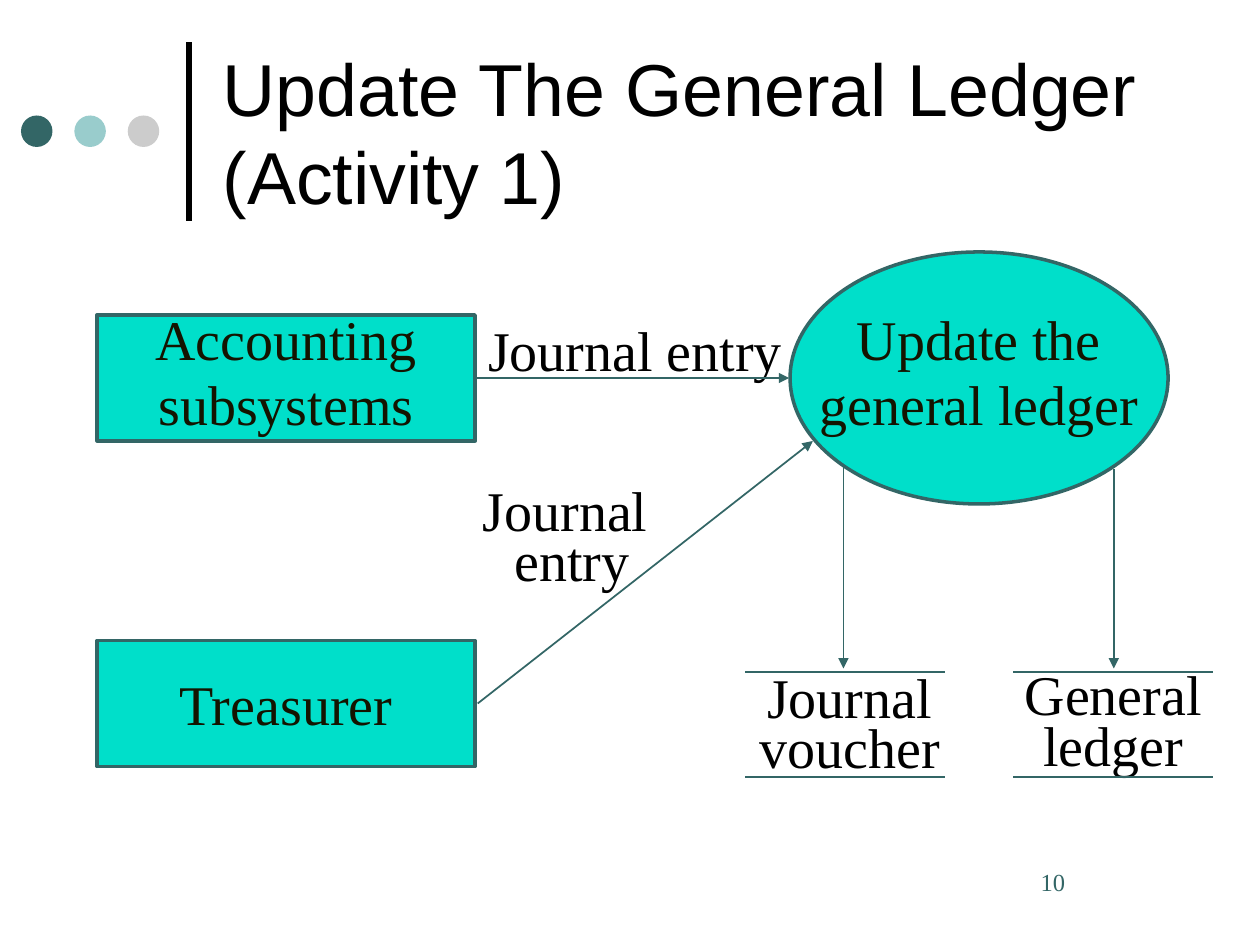
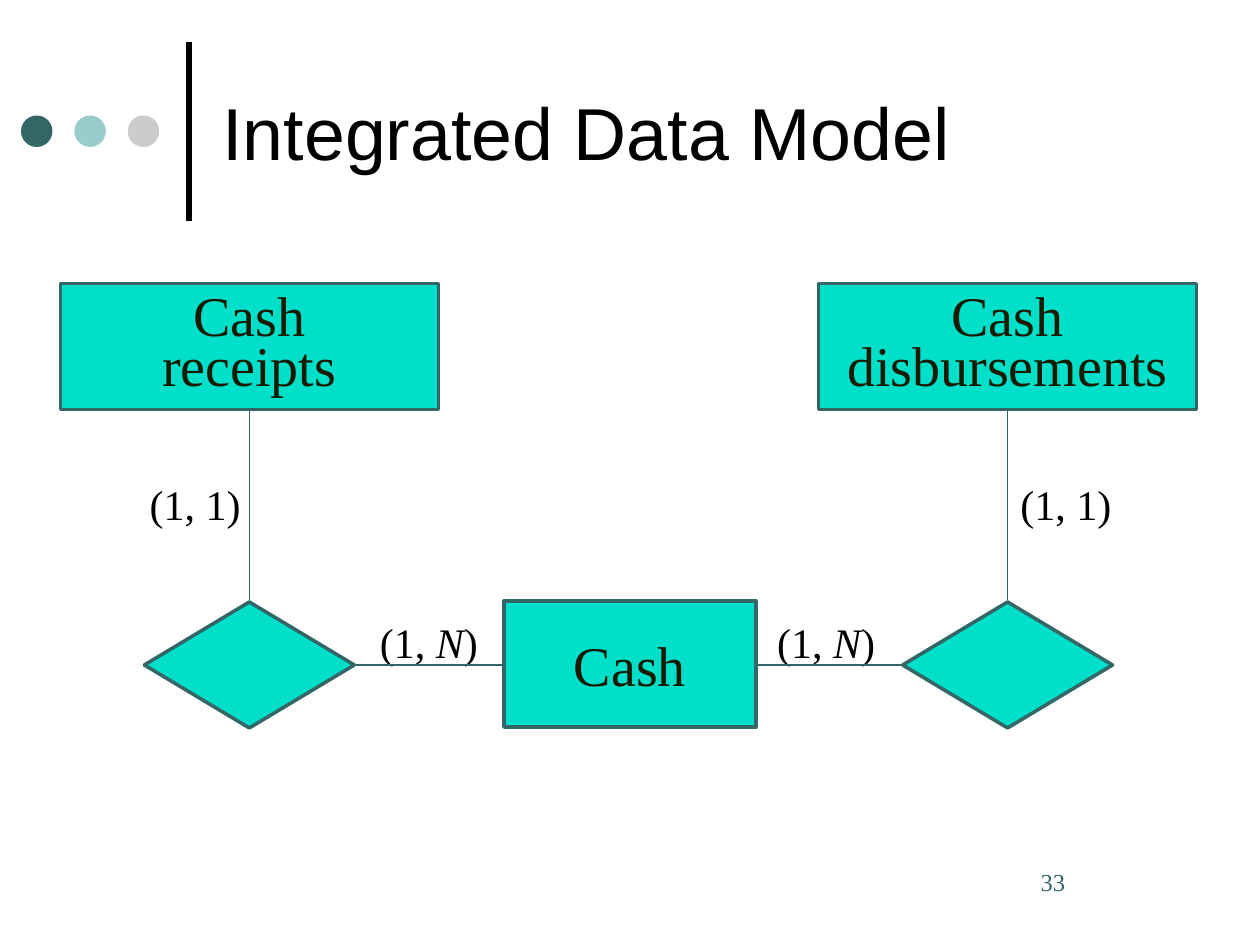
from dataclasses import dataclass
from typing import Any, NamedTuple

from lxml import etree
from pptx import Presentation
from pptx.dml.color import RGBColor
from pptx.enum.shapes import MSO_CONNECTOR, MSO_SHAPE
from pptx.enum.text import MSO_ANCHOR, MSO_AUTO_SIZE, PP_ALIGN
from pptx.oxml.ns import qn
from pptx.util import Pt

RECT, OVAL, DIAMOND = MSO_SHAPE.RECTANGLE, MSO_SHAPE.OVAL, MSO_SHAPE.DIAMOND
STRAIGHT = MSO_CONNECTOR.STRAIGHT
LEFT, CENTER = PP_ALIGN.LEFT, PP_ALIGN.CENTER
TOP, MIDDLE = MSO_ANCHOR.TOP, MSO_ANCHOR.MIDDLE
FIXED, GROW = MSO_AUTO_SIZE.NONE, MSO_AUTO_SIZE.SHAPE_TO_FIT_TEXT


@dataclass(frozen=True)
class Theme:
    black: str = "000000"
    teal: str = "336666"
    aqua: str = "00DFCA"
    flow_ink: str = "141400"
    entity_ink: str = "1A1A00"
    dots: tuple[str, ...] = ("336666", "99CCCC", "CCCCCC")
    title_font: str = "Arial"
    body_font: str = "Times New Roman"
    title_size: float = 42
    body_size: float = 32
    cardinality_size: float = 24
    number_size: float = 14
    tight: float = 0.75


T = Theme()


class Area(NamedTuple):
    x: float
    y: float
    w: float
    h: float


class Node(NamedTuple):
    kind: Any
    area: Area
    lines: tuple[str, ...] = ()
    spacing: float = T.tight
    gap: float = 0
    ink: str = T.entity_ink


class Label(NamedTuple):
    text: str
    area: Area
    size: float = T.body_size
    spacing: float = 1.0
    align: Any = CENTER
    color: str = T.black
    auto_size: Any = GROW


class Link(NamedTuple):
    x1: float
    y1: float
    x2: float
    y2: float
    arrow: bool = False
    color: str = T.teal
    width: float = 1


TITLE_AREA = Area(120, 15, 552, 120)
NUMBER_AREA = Area(587.5, 492, 85, 36)


# Helpers
def apply(obj: Any, **values: Any) -> None:
    for name, value in values.items():
        setattr(obj, name, value)


def place(area: Area) -> list[int]:
    return [Pt(v) for v in area]


def write(tf: Any, lines: tuple[str, ...], size: float, color: str, font: str = T.body_font,
          align: Any = CENTER, spacing: float = 1.0, gap: float = 0) -> None:
    """One paragraph per line; *text* is italic and \\v breaks a line."""
    for i, line in enumerate(lines):
        p = tf.paragraphs[0] if i == 0 else tf.add_paragraph()
        apply(p, alignment=align, line_spacing=spacing, space_before=Pt(gap if i else 0))
        for j, row in enumerate(line.split("\v")):
            if j:
                p.add_line_break()
            for k, part in enumerate(row.split("*")):
                r = p.add_run()
                r.text = part
                apply(r.font, name=font, size=Pt(size), italic=k % 2 == 1)
                r.font.color.rgb = RGBColor.from_string(color)


def add_node(s: Any, node: Node) -> None:
    sp = add_filled(s, node.kind, node.area, T.aqua)
    sp.line.color.rgb = RGBColor.from_string(T.teal)
    sp.line.width = Pt(2)
    apply(sp.text_frame, word_wrap=False, vertical_anchor=MIDDLE)
    write(sp.text_frame, node.lines, T.body_size, node.ink,
          spacing=node.spacing, gap=node.gap)


def add_filled(s: Any, kind: Any, area: Area, color: str) -> Any:
    sp = s.shapes.add_shape(kind, *place(area))
    sp.shadow.inherit = False
    sp.fill.solid()
    sp.fill.fore_color.rgb = RGBColor.from_string(color)
    sp.line.fill.background()
    return sp


def add_label(s: Any, label: Label) -> None:
    tf = s.shapes.add_textbox(*place(label.area)).text_frame
    apply(tf, word_wrap=True, vertical_anchor=TOP, auto_size=label.auto_size)
    write(tf, (label.text,), label.size, label.color,
          align=label.align, spacing=label.spacing)


def add_link(s: Any, link: Link) -> Any:
    cx = s.shapes.add_connector(STRAIGHT, *(Pt(v) for v in link[:4]))
    cx.line.color.rgb = RGBColor.from_string(link.color)
    cx.line.width = Pt(link.width)
    if link.arrow:
        etree.SubElement(cx.line._get_or_add_ln(), qn("a:tailEnd"), type="triangle")
    etree.SubElement(cx._element.spPr, qn("a:effectLst"))
    return cx


# Shared rule and dots, kept on the layout
def decorate_layout(s: Any) -> None:
    marks = [add_link(s, Link(108, 126, 108, 24, color=T.black, width=3))]
    marks += [add_filled(s, OVAL, Area(12 + 30.5 * i, 66, 18, 18), color)
              for i, color in enumerate(T.dots)]
    tree = s.slide_layout.shapes.element
    for i, mark in enumerate(marks):
        mark._element.xpath(".//p:cNvPr")[0].set("id", str(100 + i))
        tree.append(mark._element)


def add_slide(prs: Any, title: str, number: str, nodes: list[Node],
              labels: list[Label], links: list[Link]) -> Any:
    s = prs.slides.add_slide(prs.slide_layouts[5])
    sp = s.shapes.title
    apply(sp, **dict(zip(("left", "top", "width", "height"), place(TITLE_AREA))))
    apply(sp.text_frame, vertical_anchor=MIDDLE, auto_size=FIXED, word_wrap=True)
    write(sp.text_frame, (title,), T.title_size, T.black, T.title_font, LEFT)
    for node in nodes:
        add_node(s, node)
    for label in labels:
        add_label(s, label)
    for link in links:
        add_link(s, link)
    add_label(s, Label(number, NUMBER_AREA, T.number_size, align=LEFT,
                       color=T.teal, auto_size=FIXED))
    return s


# Data flow diagram
def ledger_slide(prs: Any) -> Any:
    flow = {"gap": 8, "ink": T.flow_ink}
    nodes = [
        Node(RECT, Area(55.5, 180, 216, 72), ("Accounting", "subsystems"), **flow),
        Node(RECT, Area(55.5, 366, 216, 72), ("Treasurer",), spacing=1.0, **flow),
        Node(OVAL, Area(451.5, 144, 216, 144), ("Update the", "general ledger"), **flow),
    ]
    labels = [
        Label("Journal voucher", Area(422.5, 384, 126, 65), spacing=T.tight),
        Label("General ledger", Area(574, 382.5, 124.5, 65), spacing=T.tight),
        Label("Journal entry", Area(264, 176.5, 198, 45.5)),
        Label("Journal \ventry", Area(234, 277, 186, 65), spacing=T.tight),
    ]
    links = [
        Link(272, 216, 451, 216, arrow=True),
        Link(273, 402, 464.5, 252, arrow=True),
        Link(482, 266.5, 482, 382, arrow=True),
        Link(636.5, 268, 636.5, 382, arrow=True),
    ]
    # Data stores: an open pair of rules each
    links += [Link(x, y, x + 114, y) for x in (426, 579) for y in (384, 444)]
    return add_slide(prs, "Update The General Ledger\v(Activity 1)", "10",
                     nodes, labels, links)


# Entity-relationship diagram
def data_model_slide(prs: Any) -> Any:
    mid_y = 380
    nodes = [Node(RECT, Area(288, mid_y - 36.5, 144, 72), ("Cash",), spacing=1.0)]
    labels, links = [], []
    branches = (
        # centre, entity, label lefts, horizontal link
        (142.5, "receipts", 78.5, 210, (203.5, 287)),
        (575.75, "disbursements", 576, 437, (433, 515)),
    )
    for cx, entity, one_x, many_x, (x1, x2) in branches:
        nodes += [
            Node(RECT, Area(cx - 108, 162, 216, 72), ("Cash", entity)),
            Node(DIAMOND, Area(cx - 60, mid_y - 36, 120, 72)),
        ]
        labels += [
            Label(text, Area(x, y, 78, 36), T.cardinality_size, align=LEFT)
            for text, x, y in (("(1, 1)", one_x, 270), ("(1, *N*)", many_x, 348.5))
        ]
        links += [Link(cx, 235, cx, 343), Link(x1, mid_y, x2, mid_y)]
    return add_slide(prs, "Integrated Data Model", "33", nodes, labels, links)


def main() -> None:
    prs = Presentation()
    apply(prs, slide_width=Pt(720), slide_height=Pt(540))
    decorate_layout(ledger_slide(prs))
    data_model_slide(prs)
    prs.save("out.pptx")


if __name__ == "__main__":
    main()
